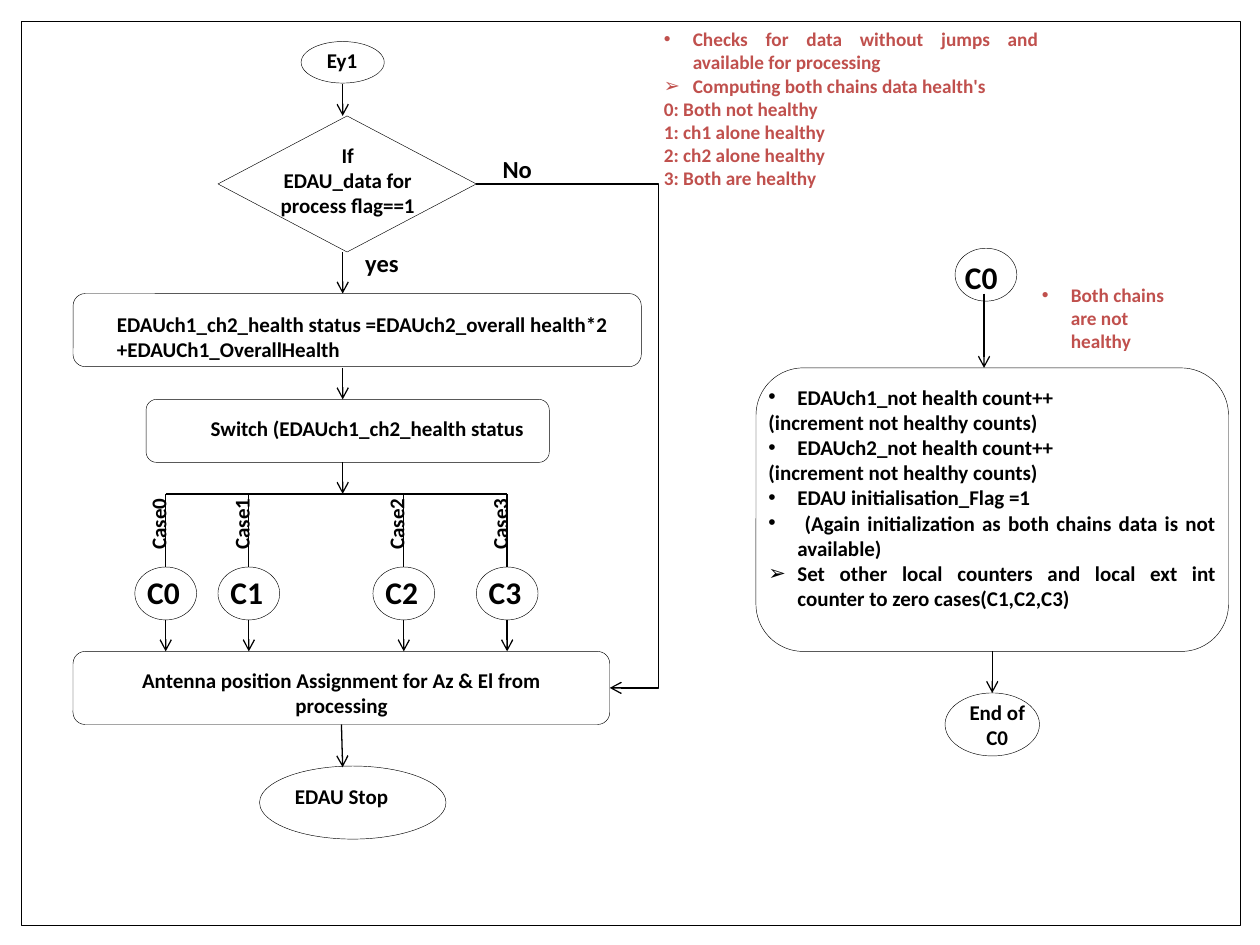
from lxml import etree
from pptx import Presentation
from pptx.dml.color import RGBColor
from pptx.enum.shapes import MSO_CONNECTOR as Link, MSO_SHAPE as Shape
from pptx.enum.text import MSO_AUTO_SIZE as AutoSize, PP_ALIGN as Align
from pptx.oxml.ns import qn
from pptx.util import Inches, Pt

BLACK, RED = "000000", "C0504D"
FLOW_X = 2.72
BUS_Y, CIRCLE_Y, ASSIGN_Y = 3.92, 4.5, 5.17
CIRCLE_W, CIRCLE_H = 0.49, 0.42
CASE_LEFTS = [1.07, 1.73, 2.96, 3.78]
DOT, ARROWHEAD = "•", "➢"

HEALTH_CODES = [
    (DOT, "Checks for data without jumps and available for processing"),
    (ARROWHEAD, "Computing both chains data health's"),
    "0: Both not healthy",
    "1: ch1 alone healthy",
    "2: ch2 alone healthy",
    "3: Both are healthy",
]
C0_STEPS = [
    (DOT, "EDAUch1_not health count++"),
    "(increment not healthy counts)",
    (DOT, "EDAUch2_not health count++"),
    "(increment not healthy counts)",
    (DOT, "EDAU initialisation_Flag =1"),
    (DOT, " (Again initialization as both chains data is not available)"),
    (ARROWHEAD, "Set other local counters and local ext int counter to zero cases(C1,C2,C3)"),
]


def rgb(color):
    return RGBColor.from_string(color)


def add_outline(slide, kind, left, top, width, height):
    """Add an unfilled preset shape with a hairline border."""
    outline = slide.shapes.add_shape(
        kind, Inches(left), Inches(top), Inches(width), Inches(height))
    outline.shadow.inherit = False
    outline.fill.background()
    outline.line.color.rgb = rgb(BLACK)
    outline.line.width = Pt(0.25)
    return outline


def add_bullet(paragraph, mark, color):
    properties = paragraph._p.get_or_add_pPr()
    properties.set("marL", str(Inches(0.23)))
    properties.set("indent", str(-Inches(0.23)))
    bullet_color = etree.SubElement(properties, qn("a:buClr"))
    etree.SubElement(bullet_color, qn("a:srgbClr"), val=color)
    etree.SubElement(properties, qn("a:buFont"), typeface="Arial")
    etree.SubElement(properties, qn("a:buChar"), char=mark)


def add_text(slide, left, top, width, height, lines, size=12,
             align=Align.CENTER, color=BLACK, rotation=0):
    """Add bold text; a line is a string or a (bullet, string) pair."""
    box = slide.shapes.add_textbox(
        Inches(left), Inches(top), Inches(width), Inches(height))
    box.rotation = rotation
    frame = box.text_frame
    frame.word_wrap = True
    frame.auto_size = AutoSize.SHAPE_TO_FIT_TEXT
    font_format = {"name": "Calibri", "size": Pt(size), "bold": True}
    for index, line in enumerate(lines):
        mark, words = line if isinstance(line, tuple) else (None, line)
        paragraph = frame.add_paragraph() if index else frame.paragraphs[0]
        paragraph.alignment = align
        if mark:
            add_bullet(paragraph, mark, color)
        run = paragraph.add_run()
        run.text = words
        for attribute, value in font_format.items():
            setattr(run.font, attribute, value)
        run.font.color.rgb = rgb(color)


def add_link(slide, start, end, arrow=True, kind=Link.STRAIGHT):
    link = slide.shapes.add_connector(kind, *map(Inches, (*start, *end)))
    link.line.color.rgb = rgb(BLACK)
    link.line.width = Pt(0.75)
    if arrow:
        etree.SubElement(link.line._get_or_add_ln(), qn("a:tailEnd"), type="arrow")
    etree.SubElement(link._element.spPr, qn("a:effectLst"))
    return link


def add_case(slide, number, left):
    """Add one switch branch: drop line, circle, label and exit arrow."""
    center = left + CIRCLE_W / 2
    circle = add_outline(slide, Shape.OVAL, left, CIRCLE_Y, CIRCLE_W, CIRCLE_H)
    add_text(slide, left, CIRCLE_Y, CIRCLE_W, 0.4, [f"C{number}"], 18, Align.LEFT)
    drop = add_link(slide, (center, BUS_Y), (center, CIRCLE_Y), arrow=False)
    drop.end_connect(circle, 0)
    add_link(slide, (center, CIRCLE_Y + CIRCLE_H), (center, ASSIGN_Y))
    add_text(slide, left - 0.15, 4.01, 0.67, 0.3, [f"Case{number}"], rotation=270)


def add_main_flow(slide):
    add_outline(slide, Shape.OVAL, 2.39, 0.33, 0.66, 0.33)
    decision = add_outline(slide, Shape.FLOWCHART_DECISION, 1.73, 0.92, 2.05, 1.08)
    add_outline(slide, Shape.ROUNDED_RECTANGLE, 0.58, 2.33, 4.51, 0.58)
    add_outline(slide, Shape.ROUNDED_RECTANGLE, 1.16, 3.17, 3.2, 0.5)
    assignment = add_outline(slide, Shape.ROUNDED_RECTANGLE, 0.58, ASSIGN_Y, 4.26, 0.58)
    add_outline(slide, Shape.OVAL, 2.06, 6.08, 1.48, 0.58)

    add_text(slide, 2.47, 0.33, 0.49, 0.3, ["Ey1"])
    add_text(slide, 1.9, 1.08, 1.72, 0.7, ["If", "EDAU_data for process flag==1"])
    add_text(slide, 0.83, 2.42, 4.18, 0.5,
             ["EDAUch1_ch2_health status =EDAUch2_overall health*2 +EDAUCh1_OverallHealth"],
             align=Align.LEFT)
    add_text(slide, 1.49, 3.25, 2.85, 0.3, ["Switch (EDAUch1_ch2_health status"])
    add_text(slide, 0.92, 5.25, 3.58, 0.5,
             ["Antenna position Assignment for Az & El from processing"])
    add_text(slide, 2.22, 6.17, 0.98, 0.3, ["EDAU Stop"])
    add_text(slide, 2.8, 1.92, 0.49, 0.34, ["yes"], 14, Align.LEFT)
    add_text(slide, 3.86, 1.17, 0.49, 0.34, ["No"], 14)

    for top, bottom in [(0.67, 0.92), (2, 2.33), (2.92, 3.17), (3.67, BUS_Y)]:
        add_link(slide, (FLOW_X, top), (FLOW_X, bottom))
    stop_arrow = add_link(slide, (FLOW_X, 5.75), (FLOW_X, 6.09))
    stop_arrow.begin_connect(assignment, 2)

    add_link(slide, *[(left + CIRCLE_W / 2, BUS_Y)
                      for left in (CASE_LEFTS[0], CASE_LEFTS[-1])], arrow=False)
    for number, left in enumerate(CASE_LEFTS):
        add_case(slide, number, left)

    bypass = add_link(slide, (3.78, 1.46), (4.84, 5.46), kind=Link.ELBOW)
    bypass.begin_connect(decision, 3)
    bypass.end_connect(assignment, 3)
    bend = bypass._element.spPr.find(qn("a:prstGeom")).get_or_add_avLst()
    etree.SubElement(bend, qn("a:gd"), name="adj1", fmla="val 136500")


def add_c0_flow(slide):
    add_outline(slide, Shape.OVAL, 7.58, 1.97, CIRCLE_W, CIRCLE_H)
    steps = add_outline(slide, Shape.ROUNDED_RECTANGLE, 6, 2.92, 3.75, 2.25)
    end = add_outline(slide, Shape.OVAL, 7.5, 5.5, 0.75, 0.5)
    add_text(slide, 7.56, 2, CIRCLE_W, 0.4, ["C0"], 18, Align.LEFT)
    add_text(slide, 6, 3, 3.75, 1.9, C0_STEPS, align=Align.JUSTIFY)
    add_text(slide, 7.58, 5.5, 0.67, 0.5, ["End of C0"])
    add_link(slide, (7.81, 2.33), (7.81, 2.92))
    end_arrow = add_link(slide, (7.88, 5.17), (7.88, 5.5))
    end_arrow.begin_connect(steps, 2)
    end_arrow.end_connect(end, 0)


def main():
    deck = Presentation()
    deck.slide_width, deck.slide_height = Inches(10), Inches(7.5)
    slide = deck.slides.add_slide(deck.slide_layouts[6])
    add_outline(slide, Shape.RECTANGLE, 0.17, 0.17, 9.67, 7.17)
    add_text(slide, 5.17, 0.17, 3.17, 1.39, HEALTH_CODES, 11, Align.JUSTIFY, RED)
    add_main_flow(slide)
    add_c0_flow(slide)
    add_text(slide, 8.17, 2.2, 1.33, 0.47, [(DOT, "Both chains are not healthy")],
             11, Align.LEFT, RED)
    deck.save("out.pptx")


if __name__ == "__main__":
    main()
